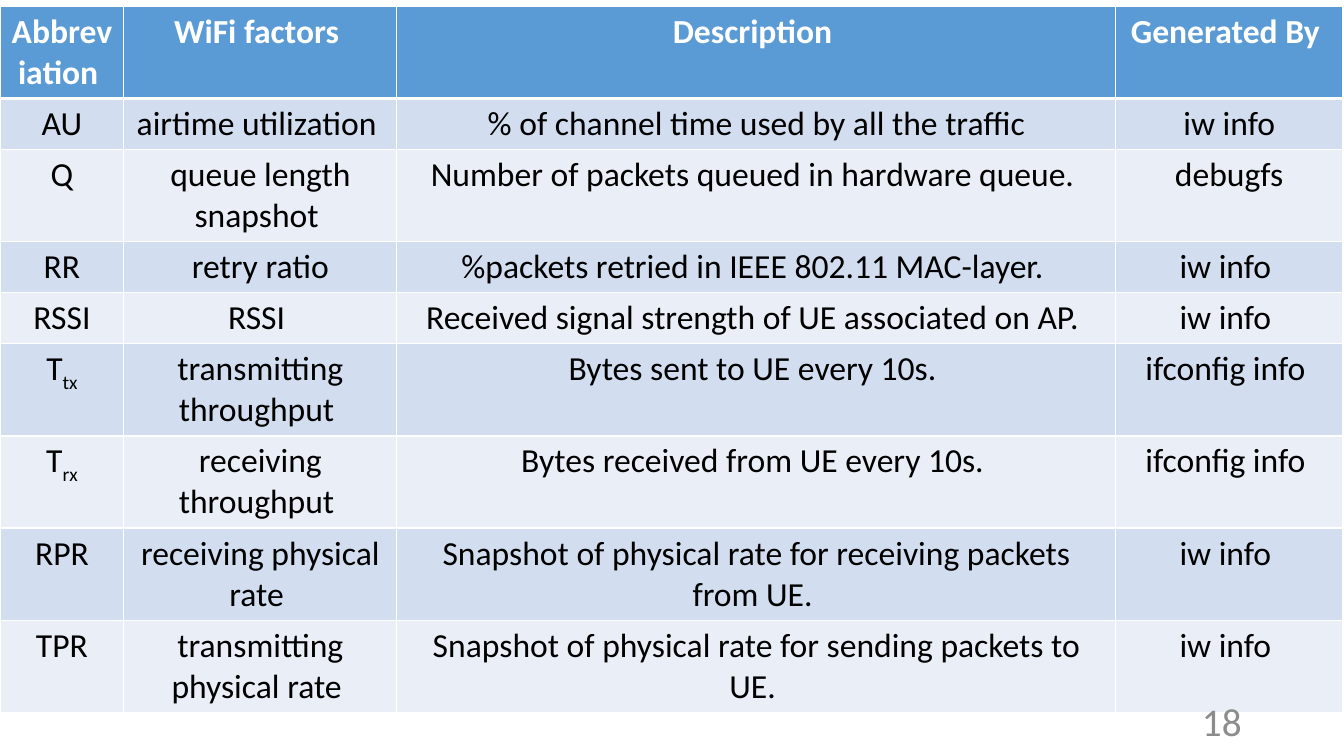
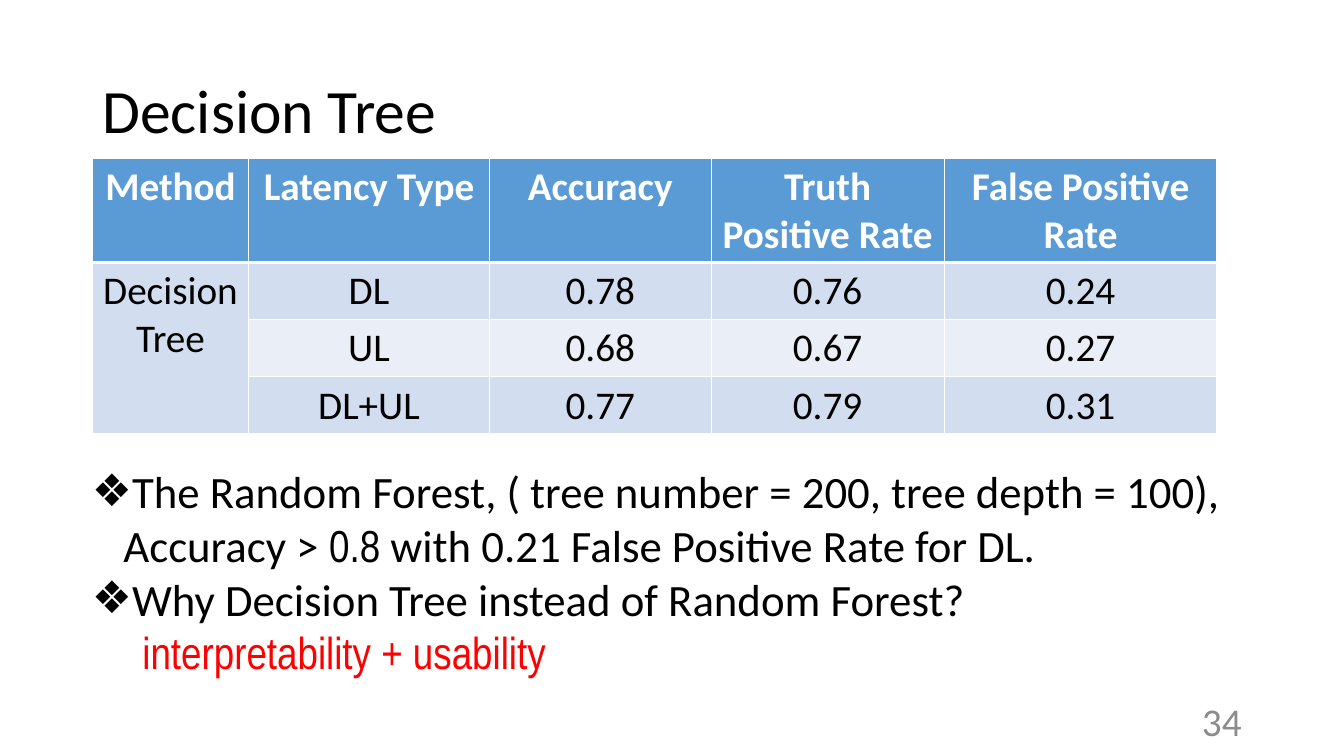
from dataclasses import dataclass

from lxml.etree import SubElement
from pptx import Presentation
from pptx.dml.color import RGBColor
from pptx.enum.text import MSO_ANCHOR, MSO_AUTO_SIZE, PP_ALIGN
from pptx.oxml import parse_xml
from pptx.oxml.ns import nsdecls, qn
from pptx.util import Pt


@dataclass(frozen=True)
class Theme:
    """Colours, fonts and type sizes."""
    head: str = "5B9BD5"
    bands: tuple = ("D2DEEF", "EAEFF7")
    white: str = "FFFFFF"
    ink: str = "000000"
    grey: str = "8C8C8C"
    red: str = "FF0000"
    font: str = "Calibri"
    slim: str = "Arial Narrow"
    title: int = 44
    body: int = 32
    page: int = 28
    dense: int = 24
    roomy: int = 28


THEME = Theme()

FACTORS = [
    ("Abbreviation ", "WiFi factors ", "Description ", "Generated By "),
    ("AU", "airtime utilization ", "% of channel time used by all the traffic", "iw info"),
    ("Q", "queue length snapshot ", "Number of packets queued in hardware queue. ", "debugfs"),
    ("RR", "retry ratio", "%packets retried in IEEE 802.11 MAC-layer. ", "iw info "),
    ("RSSI", "RSSI ", "Received signal strength of UE associated on AP. ", "iw info "),
    (("T", "tx"), "transmitting throughput ", "Bytes sent to UE every 10s. ", "ifconfig info "),
    (("T", "rx"), "receiving throughput ", "Bytes received from UE every 10s. ", "ifconfig info "),
    ("RPR", "receiving physical rate ",
     "Snapshot of physical rate for receiving packets from UE. ", "iw info "),
    ("TPR", "transmitting physical rate ",
     "Snapshot of physical rate for sending packets to UE. ", "iw info "),
]
SCORES = [
    ("Method ", "Latency Type", "Accuracy", "Truth Positive Rate", "False Positive Rate"),
    ("Decision Tree", "DL", "0.78", "0.76", "0.24"),
    ("", "UL", "0.68", "0.67", "0.27"),
    ("", "DL+UL", "0.77", "0.79", "0.31"),
]
POINTS = [
    {"bullet": True, "runs": [
        ("The Random Forest, ( tree number = 200, tree depth = 100), Accuracy >", {}),
        (" 0.8 ", {"font": THEME.slim}),
        ("with 0.21 False Positive Rate for DL.", {})]},
    {"bullet": True, "runs": [("Why Decision Tree instead of Random Forest?", {})]},
    {"bullet": False, "runs": [
        ("interpretability + usability", {"font": THEME.slim, "color": THEME.red})]},
]


def write(para, text, size, color=THEME.ink, font=THEME.font, bold=False, base=0):
    """Add one formatted run to a paragraph."""
    run = para.add_run()
    run.text = text
    run.font.size = Pt(size)
    run.font.name = font
    run.font.bold = bold
    run.font.color.rgb = RGBColor.from_string(color)
    if base:
        run.font._element.set("baseline", str(base * 1000))


def place(shape, left, top, width, height):
    """Set a shape's position and size in points."""
    shape.left, shape.top = Pt(left), Pt(top)
    shape.width, shape.height = Pt(width), Pt(height)


def edge(cell, weights):
    """Draw the white borders of a cell."""
    props = cell._tc.get_or_add_tcPr()
    for index, (side, weight) in enumerate(weights.items()):
        props.insert(index, parse_xml(
            f'<a:ln{side} {nsdecls("a")} w="{Pt(weight)}"><a:solidFill>'
            f'<a:srgbClr val="{THEME.white}"/></a:solidFill></a:ln{side}>'))


def add_grid(slide, rows, left, top, widths, lines, size):
    """Add a banded table with a strong header."""
    tall = [7.2 + count * size * 1.2 for count in lines]
    grid = slide.shapes.add_table(
        len(rows), len(widths), Pt(left), Pt(top), Pt(sum(widths)), Pt(sum(tall))).table
    for column, width in zip(grid.columns, widths):
        column.width = Pt(width)
    for r, row in enumerate(rows):
        grid.rows[r].height = Pt(tall[r])
        head = r == 0
        fill = THEME.head if head else THEME.bands[(r - 1) % 2]
        for c, text in enumerate(row):
            cell = grid.cell(r, c)
            cell.fill.solid()
            cell.fill.fore_color.rgb = RGBColor.from_string(fill)
            edge(cell, {"L": 1, "R": 1, "T": 3 if r == 1 else 1, "B": 3 if head else 1})
            para = cell.text_frame.paragraphs[0]
            para.alignment = PP_ALIGN.CENTER
            parts = (text,) if isinstance(text, str) else text
            for part, base in zip(parts, (0, -25)):
                if part:
                    write(para, part, size, THEME.white if head else THEME.ink,
                          bold=head, base=base)
    return grid


def add_page(slide, number):
    """Add the page number at the lower right."""
    box = slide.shapes.add_textbox(Pt(678), Pt(500.5), Pt(216), Pt(28.8))
    frame = box.text_frame
    frame.word_wrap = True
    frame.vertical_anchor = MSO_ANCHOR.MIDDLE
    para = frame.paragraphs[0]
    para.alignment = PP_ALIGN.RIGHT
    write(para, str(number), THEME.page, THEME.grey)


def add_title(slide, text):
    """Fill and place the title."""
    title = slide.shapes.title
    place(title, 66, 28.8, 828, 104.4)
    frame = title.text_frame
    frame.auto_size = MSO_AUTO_SIZE.NONE
    frame.vertical_anchor = MSO_ANCHOR.MIDDLE
    para = frame.paragraphs[0]
    para.alignment = PP_ALIGN.LEFT
    para.line_spacing = 0.9
    write(para, text, THEME.title)


def add_points(slide, points):
    """Fill and place the bulleted body."""
    body = slide.placeholders[1]
    place(body, 58.5, 327.6, 843, 172)
    frame = body.text_frame
    frame.auto_size = MSO_AUTO_SIZE.NONE
    for index, point in enumerate(points):
        para = frame.add_paragraph() if index else frame.paragraphs[0]
        para.space_before = Pt(0)
        props = para._p.get_or_add_pPr()
        left, hang = (22.5, -22.5) if point["bullet"] else (36, 0)
        props.set("marL", str(Pt(left)))
        props.set("indent", str(Pt(hang)))
        if point["bullet"]:
            SubElement(props, qn("a:buChar")).set("char", "❖")
        else:
            SubElement(props, qn("a:buNone"))
        for text, style in point["runs"]:
            write(para, text, THEME.body, **style)


def main():
    """Build and save the deck."""
    deck = Presentation()
    deck.slide_width, deck.slide_height = Pt(960), Pt(540)

    factors = deck.slides.add_slide(deck.slide_layouts[6])
    add_grid(factors, FACTORS, 0, 4.5, (88.5, 195, 513.5, 162),
             (2, 1, 2, 1, 1, 2, 2, 2, 2), THEME.dense)
    add_page(factors, 18)

    tree = deck.slides.add_slide(deck.slide_layouts[1])
    add_title(tree, "Decision Tree")
    add_page(tree, 34)
    add_points(tree, POINTS)
    grid = add_grid(tree, SCORES, 66, 113, (111.6, 172, 158.4, 166.4, 195),
                    (2, 1, 1, 1), THEME.roomy)
    grid.cell(1, 0).merge(grid.cell(3, 0))

    deck.save("out.pptx")


if __name__ == "__main__":
    main()
